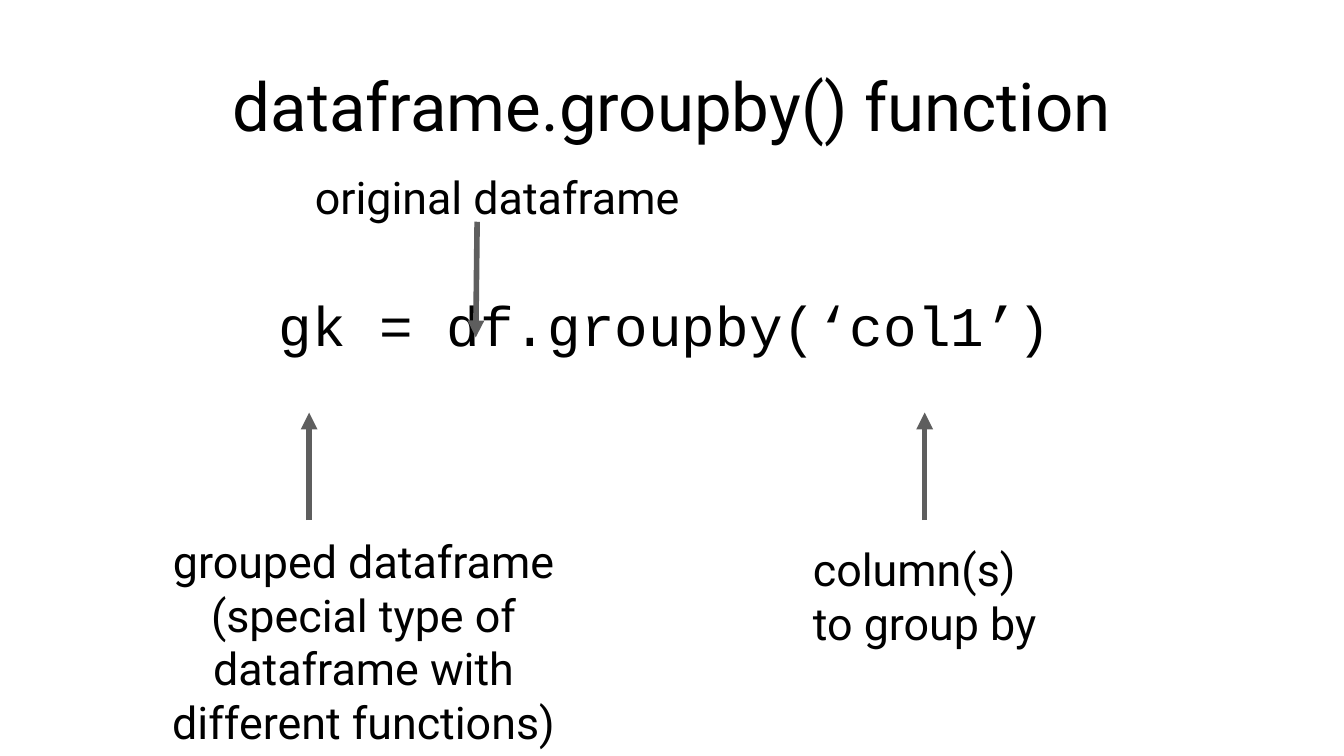
from dataclasses import dataclass

from lxml.etree import SubElement
from pptx import Presentation
from pptx.dml.color import RGBColor
from pptx.enum.shapes import MSO_CONNECTOR
from pptx.enum.text import MSO_ANCHOR, PP_ALIGN
from pptx.oxml.ns import qn
from pptx.slide import Slide
from pptx.util import Inches, Pt

COLORS = {"background": "FFFFFF", "text": "000000", "arrow": "5E5E5E"}


@dataclass
class Label:
    text: str
    left: float
    top: float
    width: float
    height: float
    size: int = 24
    font: str = "Roboto"
    align: PP_ALIGN = PP_ALIGN.CENTER
    anchor: MSO_ANCHOR = MSO_ANCHOR.TOP
    inset: float = 0.1
    indent: float = 0


@dataclass
class Arrow:
    start: tuple[float, float]
    tip: tuple[float, float]


LABELS = [
    Label("dataframe.groupby() function", 0.73, 0.15, 8.54, 1.25,
          size=36, anchor=MSO_ANCHOR.MIDDLE, inset=0.04),
    Label("gk = df.groupby(‘col1’)", 0.43, 2.12, 8.54, 0.88,
          size=30, font="Courier New", inset=0.04, indent=0.5),
    Label("original dataframe", 1.3, 1.16, 4.8, 0.49),
    Label("column(s) to group by", 5.95, 3.93, 2.02, 0.88, align=PP_ALIGN.LEFT),
    Label("grouped dataframe (special type of dataframe with different functions)",
          0.94, 3.87, 3.53, 0.88),
]
ARROWS = [Arrow((3.55, 1.65), (3.54, 2.51))]
ARROWS += [Arrow((x, 3.87), (x, 3.07)) for x in (6.88, 2.3)]


def add_label(slide: Slide, label: Label) -> None:
    box = slide.shapes.add_textbox(Inches(label.left), Inches(label.top),
                                   Inches(label.width), Inches(label.height))
    frame = box.text_frame
    frame.word_wrap = True
    frame.vertical_anchor = label.anchor
    frame.margin_left = frame.margin_right = Inches(label.inset)
    frame.margin_top = frame.margin_bottom = Inches(label.inset)
    paragraph = frame.paragraphs[0]
    paragraph.text = label.text
    paragraph.alignment = label.align
    if label.indent:
        properties = paragraph._p.get_or_add_pPr()
        properties.set("marL", str(Inches(label.indent)))
        properties.set("indent", "0")
    paragraph.font.name = label.font
    paragraph.font.size = Pt(label.size)
    paragraph.font.color.rgb = RGBColor.from_string(COLORS["text"])


def add_arrow(slide: Slide, arrow: Arrow) -> None:
    ends = [Inches(value) for value in (*arrow.start, *arrow.tip)]
    connector = slide.shapes.add_connector(MSO_CONNECTOR.STRAIGHT, *ends)
    connector.line.width = Pt(3)
    connector.line.color.rgb = RGBColor.from_string(COLORS["arrow"])
    SubElement(connector.line._get_or_add_ln(), qn("a:tailEnd"), type="triangle")
    SubElement(connector._element.spPr, qn("a:effectLst"))


def main() -> None:
    # Widescreen slide, 16 by 9
    presentation = Presentation()
    presentation.slide_width = Inches(10)
    presentation.slide_height = Inches(10 * 9 / 16)
    slide = presentation.slides.add_slide(presentation.slide_layouts[6])
    background = slide.background.fill
    background.solid()
    background.fore_color.rgb = RGBColor.from_string(COLORS["background"])

    # Title, code line and its explanations
    for label in LABELS:
        add_label(slide, label)

    # Arrows from the explanations to the parts of the code
    for arrow in ARROWS:
        add_arrow(slide, arrow)

    presentation.save("out.pptx")


if __name__ == "__main__":
    main()
